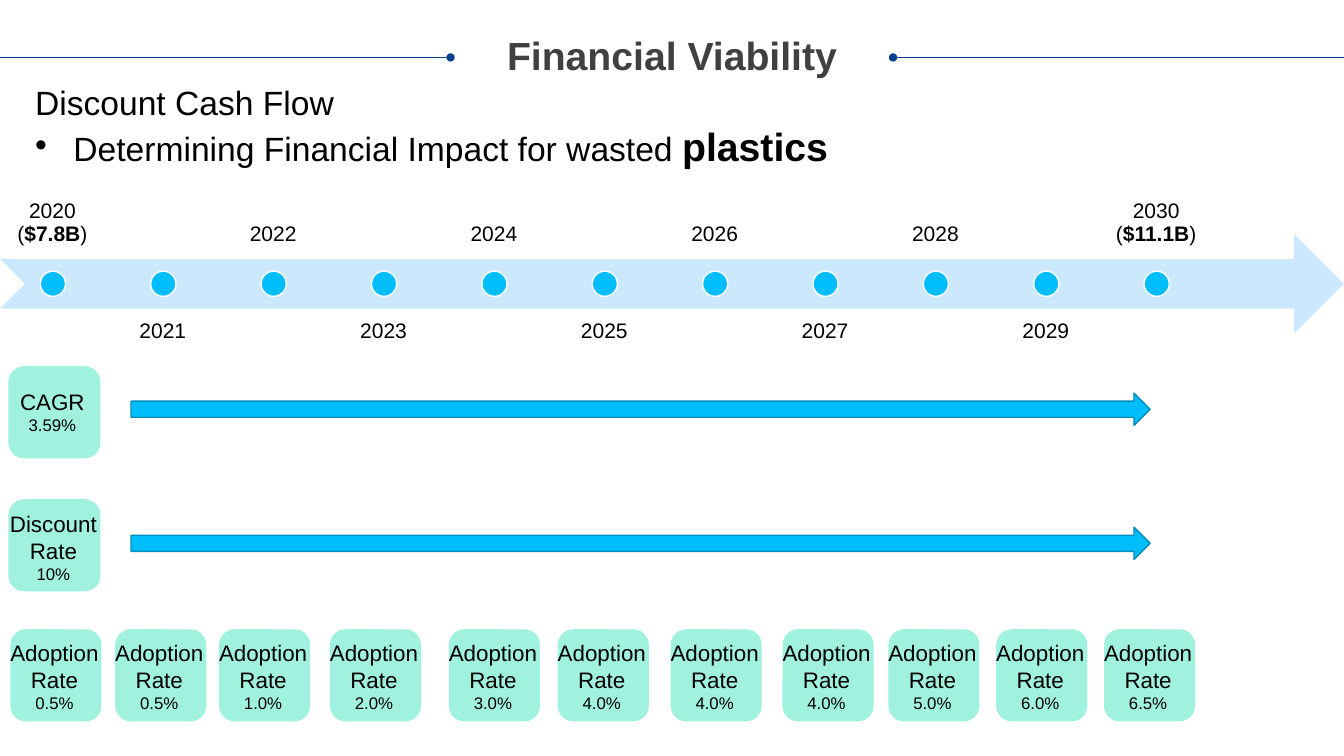
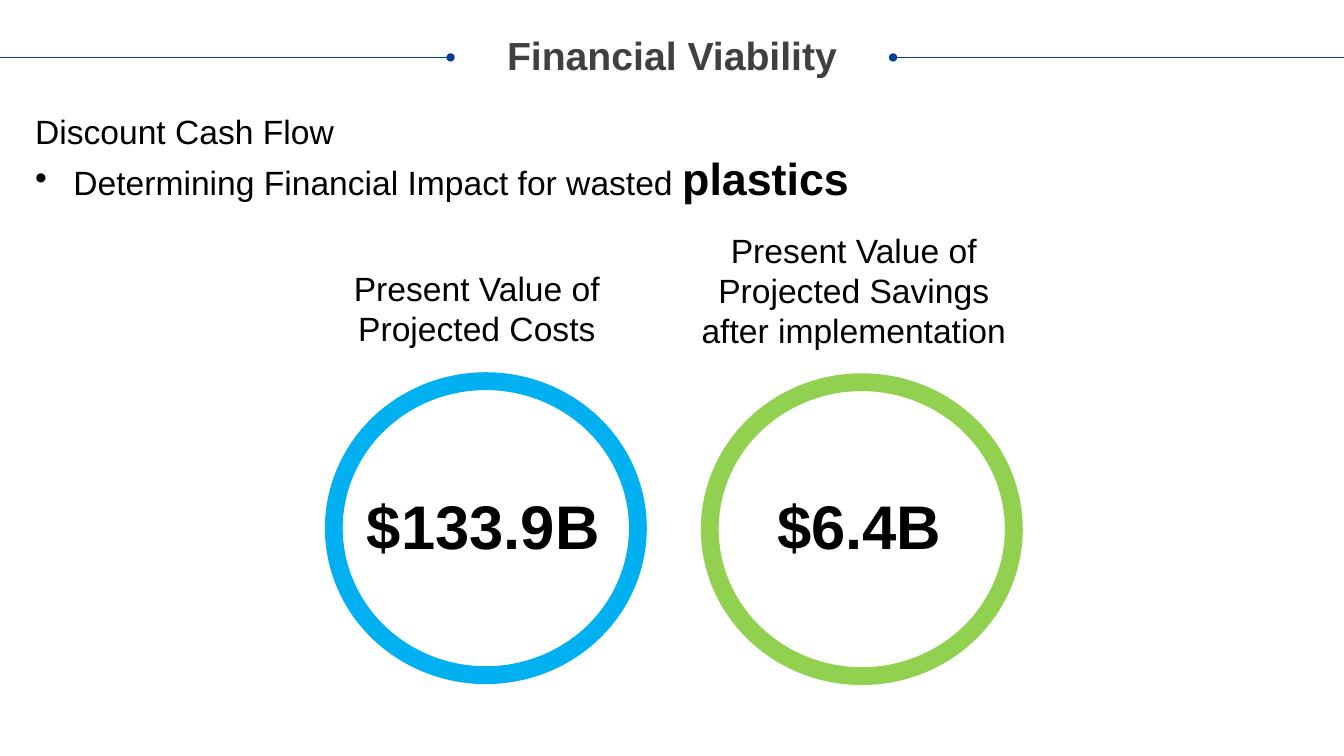
from lxml.etree import SubElement
from pptx import Presentation
from pptx.dml.color import RGBColor
from pptx.enum.shapes import MSO_CONNECTOR, MSO_SHAPE as Preset
from pptx.enum.text import MSO_ANCHOR as Anchor, MSO_AUTO_SIZE as AutoSize, PP_ALIGN as Align
from pptx.oxml.ns import qn
from pptx.util import Emu, Inches, Pt

FONT = "Arial"
BLACK = RGBColor(0x00, 0x00, 0x00)
WHITE = RGBColor(0xFF, 0xFF, 0xFF)
CHARCOAL = RGBColor(0x40, 0x40, 0x40)
NAVY = RGBColor(0x00, 0x40, 0x8E)
PALE_BLUE = RGBColor(0xCC, 0xE8, 0xFD)
CYAN = RGBColor(0x00, 0xBD, 0xFB)
DEEP_CYAN = RGBColor(0x00, 0x8C, 0xBA)
MINT = RGBColor(0xA0, 0xF1, 0xDE)
SKY = RGBColor(0x00, 0xB0, 0xF0)
GREEN = RGBColor(0x92, 0xD0, 0x50)

COLUMNS, ROWS = 160, 90
YEAR_STEP, YEAR_WIDTH, BAND_HEIGHT = 13.14, 12.48, 11.88
DOT = 3
CARD = 10.8
MARKET_SIZE = {2020: "$7.8B", 2030: "$11.1B"}
ADOPTION = [(1.32, "0.5%"), (13.8, "0.5%"), (26.16, "1.0%"), (39.36, "2.0%"),
            (53.52, "3.0%"), (66.48, "4.0%"), (79.92, "4.0%"), (93.24, "4.0%"),
            (105.84, "5.0%"), (118.68, "6.0%"), (131.52, "6.5%")]


def assign(target, values):
    for name, value in values.items():
        setattr(target, name, value)


class Deck:
    """Holds the shared style and the current slide, measured in grid columns and rows."""

    def __init__(self):
        self.show = Presentation()
        self.cell = Inches(1) // 12
        assign(self.show, {"slide_width": self.cell * COLUMNS, "slide_height": self.cell * ROWS})
        self.slide = None

    def grid(self, *cells):
        return [Emu(round(count * self.cell)) for count in cells]

    def start(self, title):
        self.slide = self.show.slides.add_slide(self.show.slide_layouts[6])
        self.rule(106.32, COLUMNS, "a:headEnd")
        self.text((3, 4.32, 154, 5.04), [[(title, 28, True)]],
                  color=CHARCOAL, inset=0, spacing=0.9)
        self.rule(0, 53.64, "a:tailEnd")

    def rule(self, left, right, dotted_end):
        line = self.slide.shapes.add_connector(
            MSO_CONNECTOR.STRAIGHT, *self.grid(left, 6.84, right, 6.84))
        line.line.color.rgb = NAVY
        line.line.width = Pt(0.5)
        SubElement(line.line._ln, qn(dotted_end), type="oval")
        SubElement(line._element.spPr, qn("a:effectLst"))

    def shape(self, preset, box, fill, outline=None, adjust=None):
        shape = self.slide.shapes.add_shape(preset, *self.grid(*box))
        shape.shadow.inherit = False
        shape.fill.solid()
        shape.fill.fore_color.rgb = fill
        if outline is None:
            shape.line.fill.background()
        else:
            shape.line.color.rgb = outline
            shape.line.width = Pt(1)
        if adjust is not None:
            shape.adjustments[0] = adjust

    def text(self, box, paragraphs, color=BLACK, align=Align.CENTER, anchor=Anchor.TOP,
             inset=None, spacing=None, grow=True, bulleted=()):
        frame = self.slide.shapes.add_textbox(*self.grid(*box)).text_frame
        assign(frame, {"word_wrap": True, "vertical_anchor": anchor,
                       "auto_size": AutoSize.SHAPE_TO_FIT_TEXT if grow else AutoSize.NONE})
        if inset is not None:
            sides = ("left", "top", "right", "bottom")
            assign(frame, {f"margin_{side}": self.grid(inset)[0] for side in sides})
        for index, runs in enumerate(paragraphs):
            paragraph = frame.add_paragraph() if index else frame.paragraphs[0]
            if index in bulleted:
                self.bullet(paragraph)
            assign(paragraph, {"alignment": align, "line_spacing": spacing})
            for words, size, bold in runs:
                run = paragraph.add_run()
                run.text = words
                assign(run.font, {"name": FONT, "size": Pt(size), "bold": bold})
                run.font.color.rgb = color

    def bullet(self, paragraph):
        properties = paragraph._p.get_or_add_pPr()
        indent = Inches(0.38)
        properties.set("marL", str(indent))
        properties.set("indent", str(-indent))
        SubElement(properties, qn("a:buFont"), typeface=FONT)
        SubElement(properties, qn("a:buChar"), char="•")

    def heading(self, top, height, emphasis):
        self.text((3, top, 136.56, height), [
            [("Discount Cash Flow", 24, False)],
            [("Determining Financial Impact for wasted ", 24, False),
             ("plastics", emphasis, True)],
        ], align=Align.LEFT, bulleted=(1,))

    def milestone(self, index, year):
        left = index * YEAR_STEP
        above = index % 2 == 0
        runs = [(str(year), 15, False)]
        if year in MARKET_SIZE:
            runs = [(f"{year} (", 15, False), (MARKET_SIZE[year], 15, True), (")", 15, False)]
        self.text((left, 18.84 if above else 36.72, YEAR_WIDTH, BAND_HEIGHT), [runs],
                  anchor=Anchor.BOTTOM if above else Anchor.TOP,
                  inset=1.44, spacing=0.9, grow=False)
        self.shape(Preset.OVAL, (left + 4.8, 32.28, DOT, DOT), CYAN, WHITE)

    def card(self, left, top, width, label_box, name, rate):
        self.shape(Preset.ROUNDED_RECTANGLE, (left, top, width, CARD), MINT, MINT)
        self.text(label_box, [[(name, 16, False)], [(rate, 12, False)]])

    def span_arrow(self, top):
        self.shape(Preset.RIGHT_ARROW, (15.6, top, 121.32, 3.84), CYAN, DEEP_CYAN)

    def ring(self, left, top, color, caption_box, caption, amount):
        self.shape(Preset.DONUT, (left, top, 38.16, 36.96), color, color, adjust=0.053)
        self.text(caption_box, [[(caption, 24, False)]])
        self.text((left - 7.26, 57.48, 52.08, 10.08), [[(amount, 44, True)]])


def add_timeline_slide(deck):
    deck.start("Financial Viability")
    deck.shape(Preset.NOTCHED_RIGHT_ARROW, (0, 27.84, COLUMNS, BAND_HEIGHT), PALE_BLUE)
    for index, year in enumerate(range(2020, 2031)):
        deck.milestone(index, year)
    deck.card(1.08, 43.68, CARD, (-3.12, 45.6, 18.72, 6.84), "CAGR", "3.59%")
    deck.card(1.08, 59.52, CARD, (-1.44, 60.12, 15.6, 10.08), "Discount Rate", "10%")
    for left, rate in ADOPTION:
        deck.card(left, 75, 10.68, (left - 1.98, 75.48, 14.28, 10.32), "Adoption Rate", rate)
    for top in (62.76, 46.8):
        deck.span_arrow(top)
    deck.heading(9.12, 11.76, 28)


def add_value_slide(deck):
    deck.start("Financial Viability")
    deck.heading(12.6, 12.48, 32)
    deck.ring(38.76, 44.4, SKY, (40.08, 31.32, 33.36, 10.92),
              "Present Value of Projected Costs", "$133.9B")
    deck.ring(83.52, 44.52, GREEN, (81.6, 26.76, 40.08, 15.72),
              "Present Value of Projected Savings after implementation", "$6.4B")


def main():
    deck = Deck()
    add_timeline_slide(deck)
    add_value_slide(deck)
    deck.show.save("out.pptx")


if __name__ == "__main__":
    main()
